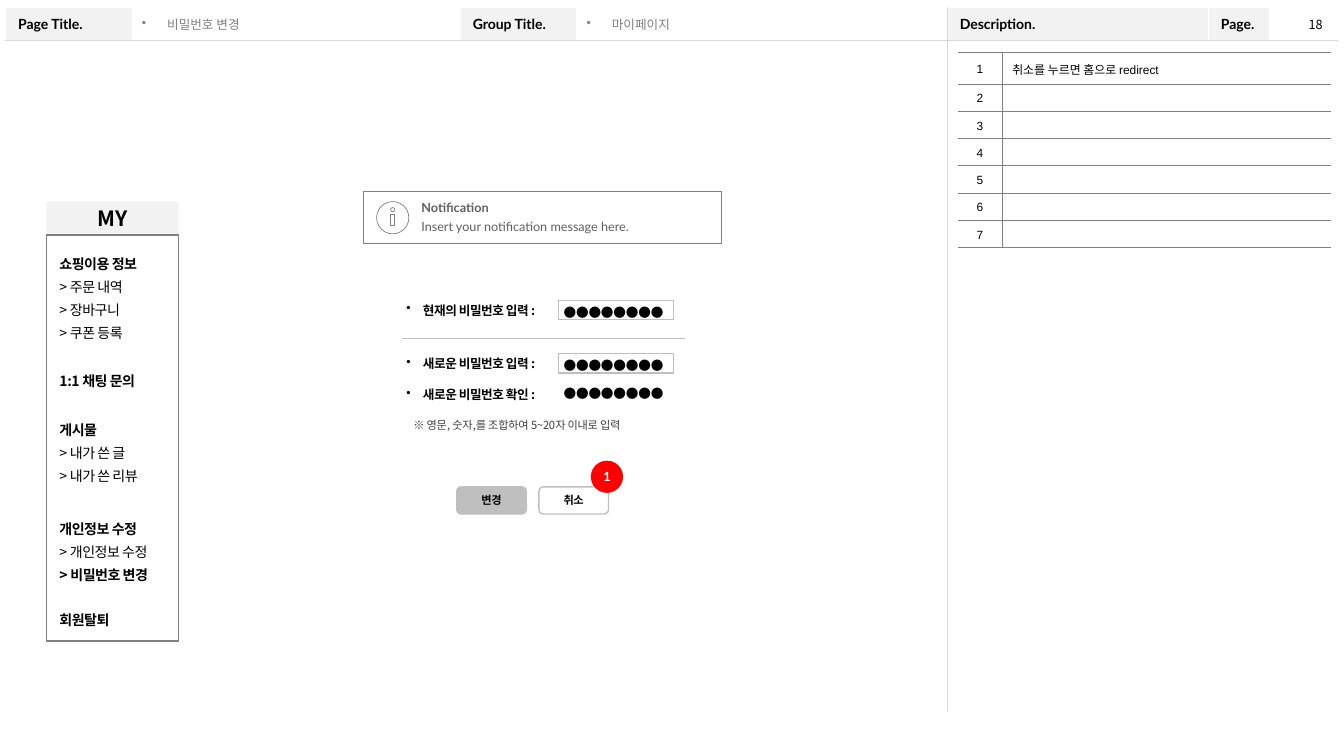
from dataclasses import dataclass

from lxml import etree
from pptx import Presentation
from pptx.dml.color import RGBColor
from pptx.enum.shapes import MSO_CONNECTOR, MSO_SHAPE
from pptx.enum.text import MSO_ANCHOR, PP_ALIGN
from pptx.oxml.ns import qn
from pptx.util import Inches, Pt


@dataclass(frozen=True)
class Theme:
    """Colours, fonts and type sizes of the slide."""
    black: str = "000000"
    white: str = "FFFFFF"
    panel: str = "F2F2F2"
    rule: str = "D9D9D9"
    outline: str = "BFBFBF"
    frame: str = "808080"
    note: str = "404040"
    notice: str = "5F5F5F"
    badge: str = "FF0000"
    korean: str = "Noto Sans CJK KR"
    latin: str = "Lato"
    plain: str = "Arial"
    heading: float = 15
    label: float = 10
    body: float = 9
    cell: float = 8.5
    small: float = 8


@dataclass(frozen=True)
class Box:
    """A region measured in grid cells of a tenth of an inch."""
    x: float
    y: float
    w: float
    h: float

    def inside(self, x, y, w, h):
        """Return a region placed relative to this one."""
        return Box(self.x + x, self.y + y, w, h)

    def lengths(self):
        """Return left, top, width and height as slide lengths."""
        return [cells(n) for n in (self.x, self.y, self.w, self.h)]


THEME = Theme()


def cells(count):
    """Convert grid cells to a slide length."""
    return Inches(count / 10)


def rgb(colour):
    """Turn a hex value into a colour."""
    return RGBColor.from_string(colour)


def style(paragraph, size, font=THEME.korean, colour=THEME.black, bold=False,
          align=PP_ALIGN.LEFT, before=0, spacing=0, indent=0):
    """Format a paragraph, with a hanging bullet when an indent is given."""
    paragraph.alignment = align
    paragraph.space_before = Pt(before)
    props = paragraph._p.get_or_add_pPr()
    if indent:
        props.set("marL", str(cells(indent)))
        props.set("indent", str(-cells(indent)))
        etree.SubElement(props, qn("a:buChar")).set("char", "•")
    face = paragraph.font
    face.size, face.name, face.bold = Pt(size), font, bold
    face.color.rgb = rgb(colour)
    run_props = props.find(qn("a:defRPr"))
    run_props.set("spc", str(round(spacing * 100)))
    east_asian = etree.Element(qn("a:ea"), typeface=THEME.korean)
    run_props.find(qn("a:latin")).addnext(east_asian)


def write(frame, lines, margins=(0, 0, 0, 0), anchor=MSO_ANCHOR.TOP, wrap=True):
    """Fill a text frame with pairs of text and paragraph style."""
    frame.word_wrap = wrap
    frame.vertical_anchor = anchor
    (frame.margin_left, frame.margin_top,
     frame.margin_right, frame.margin_bottom) = map(cells, margins)
    for index, (text, look) in enumerate(lines):
        paragraph = frame.add_paragraph() if index else frame.paragraphs[0]
        paragraph.text = text
        style(paragraph, **look)


def add_text(slide, box, lines, **layout):
    """Add a text box."""
    write(slide.shapes.add_textbox(*box.lengths()).text_frame, lines, **layout)


def add_form(slide, box, kind=MSO_SHAPE.RECTANGLE, fill=None, line=None, weight=1):
    """Add a preset shape without shadow."""
    form = slide.shapes.add_shape(kind, *box.lengths())
    form.shadow.inherit = False
    if fill:
        form.fill.solid()
        form.fill.fore_color.rgb = rgb(fill)
    else:
        form.fill.background()
    if line:
        form.line.color.rgb = rgb(line)
        form.line.width = Pt(weight)
    else:
        form.line.fill.background()
    return form


def add_grid(slide, box, widths, heights):
    """Add an unstyled table with the given columns and rows."""
    table = slide.shapes.add_table(len(heights), len(widths), *box.lengths()).table
    table.first_row = table.horz_banding = False
    for column, width in zip(table.columns, widths):
        column.width = cells(width)
    for row, height in zip(table.rows, heights):
        row.height = cells(height)
    return table


def finish_cell(cell, edges, fill=None):
    """Set a cell's fill and its left, right, top and bottom edges."""
    props = cell._tc.get_or_add_tcPr()
    for index, (side, colour) in enumerate(zip("LRTB", edges)):
        line = etree.Element(qn(f"a:ln{side}"), w=str(Pt(0.25)))
        if colour:
            solid = etree.SubElement(line, qn("a:solidFill"))
            etree.SubElement(solid, qn("a:srgbClr"), val=colour)
        else:
            etree.SubElement(line, qn("a:noFill"))
        props.insert(index, line)
    if fill:
        cell.fill.solid()
        cell.fill.fore_color.rgb = rgb(fill)
    else:
        cell.fill.background()


def draw_page_frame(slide, box):
    """Draw the title bar and the rules that divide the page."""
    labels = ["Page Title.", "", "Group Title.", "", "Description.", "Page.", ""]
    table = add_grid(slide, box, [12.6, 32.5, 11.5, 36.8, 25.9, 6.1, 6.8], [3.3, 66.7])
    table.cell(1, 0).merge(table.cell(1, 3))
    table.cell(1, 4).merge(table.cell(1, 6))
    white, rule = THEME.white, THEME.rule
    for column, label in enumerate(labels):
        left = rule if column == 4 else white
        right = rule if column == 3 else white
        title, body = table.cell(0, column), table.cell(1, column)
        title.margin_left = title.margin_right = cells(1.3)
        title.margin_top = title.margin_bottom = cells(0.7)
        title.vertical_anchor = MSO_ANCHOR.MIDDLE
        title.text = label
        style(title.text_frame.paragraphs[0], THEME.label, THEME.latin, bold=True)
        finish_cell(title, (left, right, white, rule), THEME.panel if label else None)
        finish_cell(body, (left, rule if column < 4 else white, rule, white))
    value = dict(size=THEME.body, font=THEME.plain, colour=THEME.frame, indent=2.5)
    for x, text in ((12.6, "비밀번호 변경"), (56.7, "마이페이지")):
        add_text(slide, box.inside(x, 0.5, 32.4, 2.4), [(text, value)],
                 margins=(1, 0.5, 1, 0.5), anchor=MSO_ANCHOR.MIDDLE)
    add_text(slide, box.inside(128.3, 0.5, 3.4, 2.5), [("18", dict(size=THEME.body))],
             margins=(1, 0.5, 1, 0.5), wrap=False)


def draw_descriptions(slide, box):
    """Draw the numbered description table."""
    notes = ["취소를 누르면 홈으로 redirect"] + [""] * 6
    table = add_grid(slide, box, [4.4, 32.6], [3.1] + [2.71] * 6)
    grey = THEME.frame
    for row, note in enumerate(notes):
        entries = ((str(row + 1), PP_ALIGN.CENTER, (None, grey)),
                   (note, PP_ALIGN.JUSTIFY, (grey, None)))
        for column, (text, align, sides) in enumerate(entries):
            cell = table.cell(row, column)
            cell.vertical_anchor = MSO_ANCHOR.MIDDLE
            cell.text = text
            paragraph = cell.text_frame.paragraphs[0]
            paragraph.line_spacing = 1.2
            style(paragraph, THEME.cell, THEME.plain, align=align)
            finish_cell(cell, (*sides, grey, grey))


def draw_menu(slide, box):
    """Draw the account menu with its sections."""
    title = add_form(slide, box.inside(0, 0, 13.1, 3.3), fill=THEME.panel)
    write(title.text_frame, [("MY", dict(size=THEME.heading, bold=True, align=PP_ALIGN.CENTER))],
          anchor=MSO_ANCHOR.MIDDLE)
    add_form(slide, box.inside(0, 3.3, 13.1, 40.3), line=THEME.frame)
    sections = [(4.6, ["쇼핑이용 정보", "> 주문 내역", "> 장바구니", "> 쿠폰 등록"]),
                (16.3, ["1:1 채팅 문의"]),
                (21.1, ["게시물", "> 내가 쓴 글", "> 내가 쓴 리뷰"]),
                (30.9, ["개인정보 수정", "> 개인정보 수정", "> 비밀번호 변경"]),
                (40, ["회원탈퇴"])]
    for y, items in sections:
        lines = [(item, dict(size=THEME.label, spacing=-0.3, before=4.5 if index else 0,
                             bold=not index or item == "> 비밀번호 변경"))
                 for index, item in enumerate(items)]
        add_text(slide, box.inside(1.3, y, 11, 0.7 + 2.3 * len(items)), lines,
                 margins=(0, 0.7, 0, 0))


def draw_notification(slide, box):
    """Draw the notification banner with its information icon."""
    banner = add_form(slide, box, fill=THEME.white, line=THEME.frame, weight=0.5)
    look = dict(size=THEME.body, font=THEME.latin, colour=THEME.notice)
    write(banner.text_frame,
          [("Notification", dict(look, bold=True)),
           ("Insert your notification message here.", dict(look, before=3))],
          margins=(5.8, 0.5, 1, 0.5), anchor=MSO_ANCHOR.MIDDLE)
    for kind, place in ((MSO_SHAPE.OVAL, (1.35, 1, 3.2, 3.2)),
                        (MSO_SHAPE.OVAL, (2.75, 1.6, 0.4, 0.4)),
                        (MSO_SHAPE.RECTANGLE, (2.75, 2.3, 0.4, 1.1))):
        add_form(slide, box.inside(*place), kind, line=THEME.frame, weight=0.5)


def draw_password_form(slide, box):
    """Draw the password fields, the hint, the buttons and the badge."""
    rows = [(0.1, 0, "현재의 비밀번호 입력 :", THEME.outline),
            (5.4, 5.3, "새로운 비밀번호 입력 :", THEME.outline),
            (8.5, 8.1, "새로운 비밀번호 확인 :", None)]
    for label_y, field_y, label, line in rows:
        add_text(slide, box.inside(0.4, label_y, 15, 1.5),
                 [(label, dict(size=THEME.body, bold=True, spacing=-0.3, indent=1.65))],
                 margins=(0, 0.1, 0, 0))
        field = add_form(slide, box.inside(15.5, field_y, 11.4, 1.9), line=line)
        write(field.text_frame, [("●●●●●●●●", dict(size=THEME.body, spacing=-0.1))],
              margins=(0.5, 0.4, 0, 0))
    start, end = box.inside(0, 3.8, 0, 0), box.inside(28, 3.8, 0, 0)
    divider = slide.shapes.add_connector(MSO_CONNECTOR.STRAIGHT, *start.lengths()[:2],
                                         *end.lengths()[:2])
    divider.line.color.rgb = rgb(THEME.outline)
    divider.line.width = Pt(1)
    etree.SubElement(divider._element.spPr, qn("a:effectLst"))
    hint = dict(size=THEME.small, colour=THEME.note, spacing=-0.2)
    add_text(slide, box.inside(1.1, 11.6, 27, 1.5),
             [("※ 영문, 숫자,를 조합하여 5~20자 이내로 입력", hint)], margins=(0, 0.1, 0, 0))
    caption = dict(size=THEME.small, bold=True, spacing=-0.3, align=PP_ALIGN.CENTER)
    for x, text, fill in ((5.4, "변경", THEME.outline), (13.55, "취소", None)):
        button = add_form(slide, box.inside(x, 18.5, 6.9, 2.7), MSO_SHAPE.ROUNDED_RECTANGLE,
                          fill, THEME.outline)
        write(button.text_frame, [(text, caption)], anchor=MSO_ANCHOR.MIDDLE)
    badge = add_form(slide, box.inside(18.7, 15.9, 3.2, 3.2), MSO_SHAPE.OVAL, THEME.badge)
    write(badge.text_frame, [("1", dict(size=THEME.body, font=THEME.latin, colour=THEME.white,
                                        bold=True, align=PP_ALIGN.CENTER))],
          anchor=MSO_ANCHOR.MIDDLE)


def main():
    """Build the slide and save it."""
    deck = Presentation()
    deck.slide_width, deck.slide_height = Inches(13.33), Inches(7.5)
    slide = deck.slides.add_slide(deck.slide_layouts[6])
    draw_page_frame(slide, Box(0.5, 0.7, 132.2, 70))
    draw_descriptions(slide, Box(95, 5.2, 37, 19.36))
    draw_menu(slide, Box(4.6, 20, 13.1, 43.6))
    draw_password_form(slide, Box(39.9, 29.8, 28, 21.2))
    draw_notification(slide, Box(36, 19, 35.6, 5.1))
    deck.save("out.pptx")


if __name__ == "__main__":
    main()
